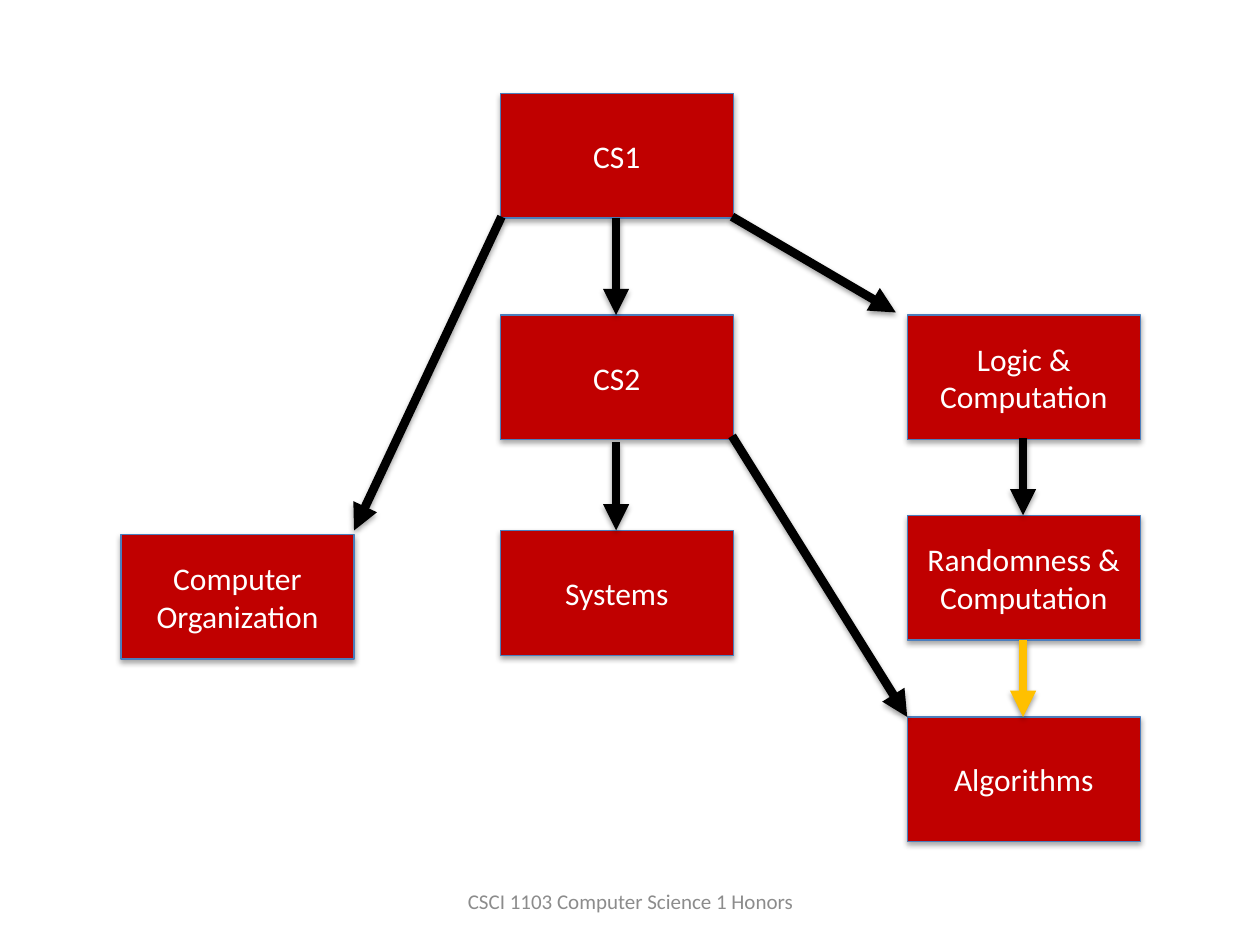
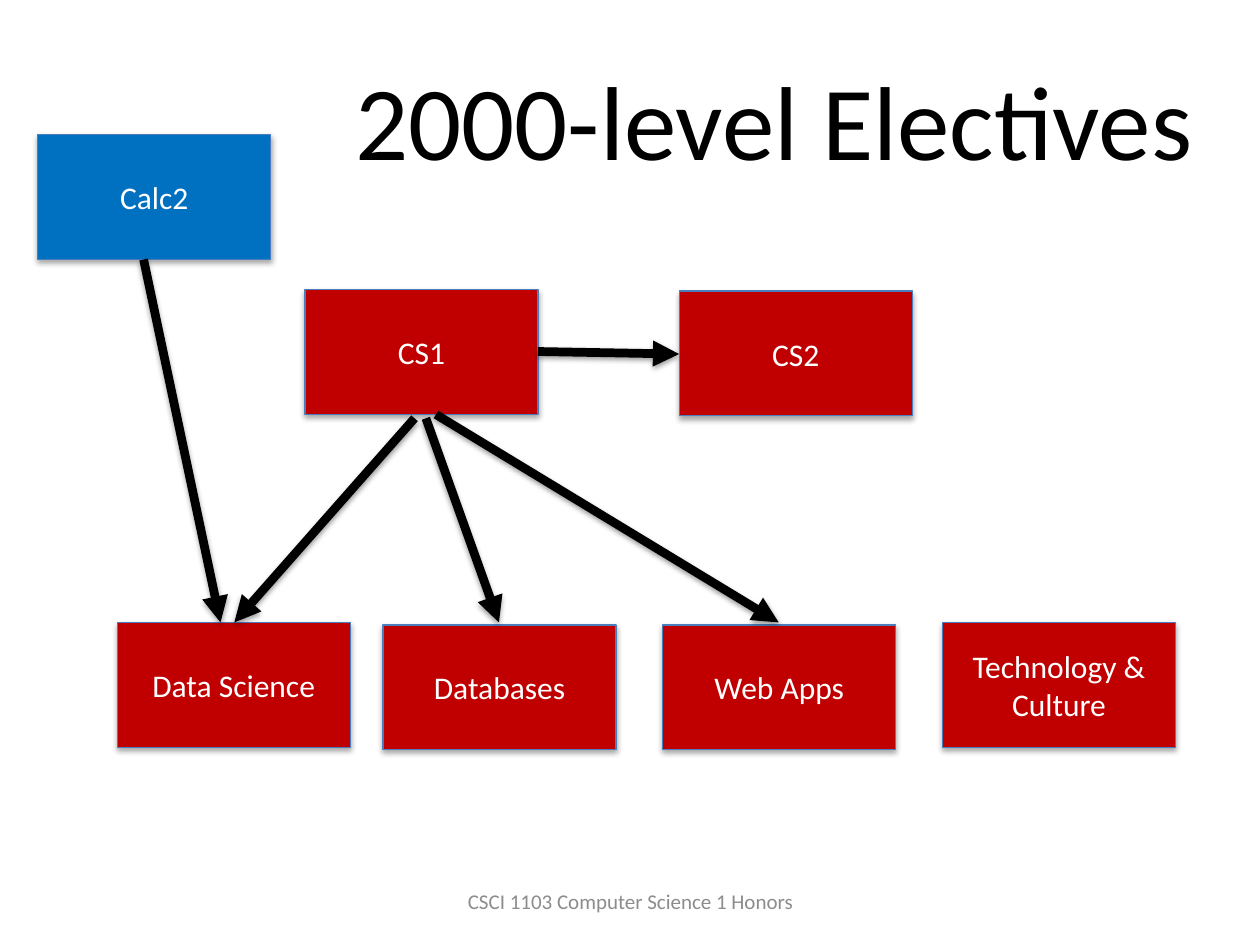
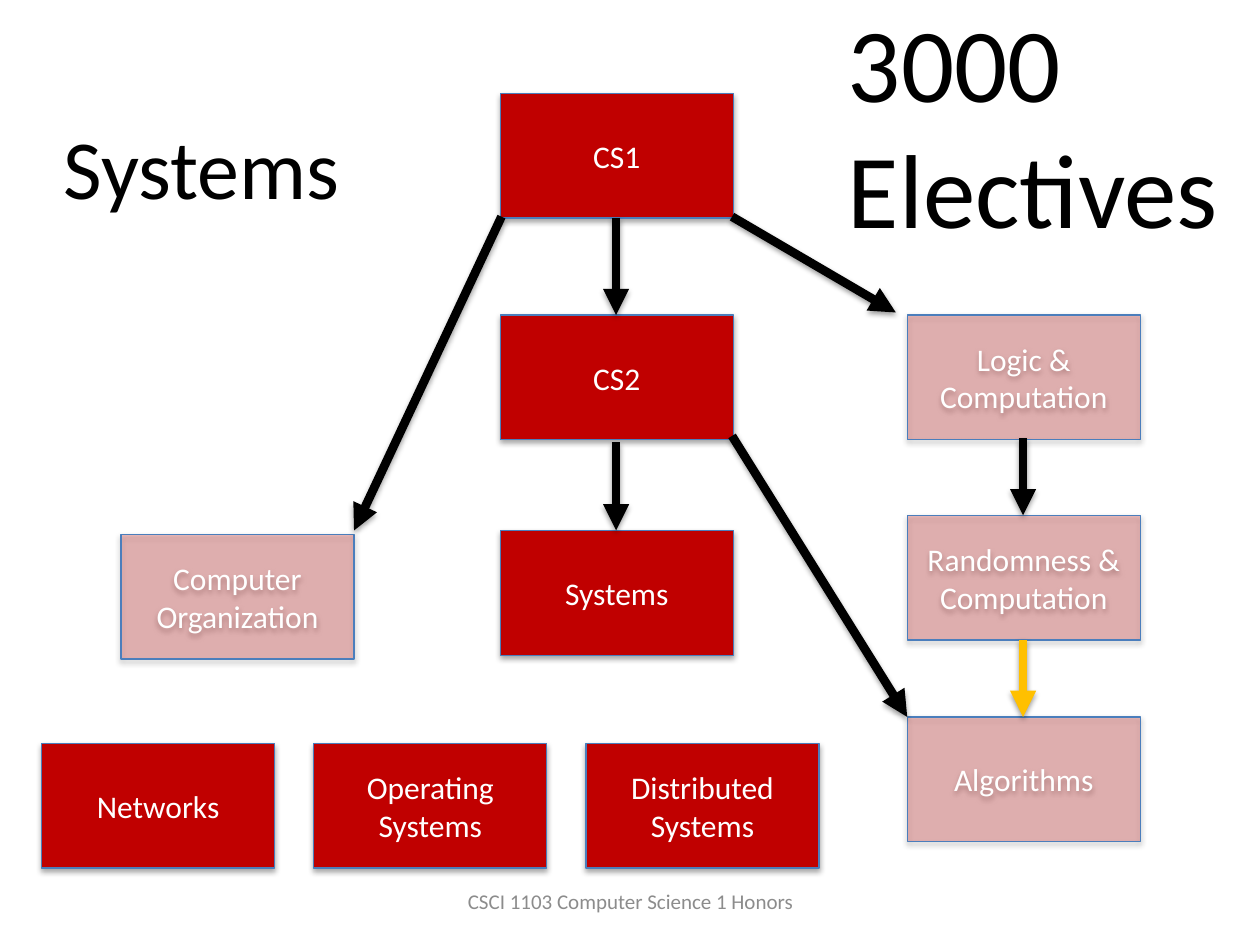
"""Build three slides of computer science course prerequisite charts."""
from pptx import Presentation
from pptx.dml.color import RGBColor
from pptx.enum.shapes import MSO_CONNECTOR, MSO_SHAPE
from pptx.enum.text import MSO_ANCHOR, MSO_AUTO_SIZE, PP_ALIGN
from pptx.oxml import parse_xml
from pptx.oxml.ns import nsdecls, qn
from pptx.util import Pt

RECTANGLE = MSO_SHAPE.RECTANGLE
STRAIGHT = MSO_CONNECTOR.STRAIGHT
TOP, MIDDLE = MSO_ANCHOR.TOP, MSO_ANCHOR.MIDDLE
LEFT, CENTER = PP_ALIGN.LEFT, PP_ALIGN.CENTER
FIXED = MSO_AUTO_SIZE.NONE

RED = RGBColor(0xC0, 0x00, 0x00)
BLUE = RGBColor(0x00, 0x70, 0xC0)
OUTLINE = RGBColor(0x4B, 0x7E, 0xBC)
GOLD = RGBColor(0xFF, 0xC0, 0x00)
BLACK = RGBColor(0x00, 0x00, 0x00)
WHITE = RGBColor(0xFF, 0xFF, 0xFF)
GRAY = RGBColor(0x8C, 0x8C, 0x8C)

FONT = "Calibri"
FOOTER = "CSCI 1103 Computer Science 1 Honors"
BOX_WIDTH, BOX_HEIGHT = 133.2, 71.28
TITLE_ONLY, BLANK = 5, 6


def write_text(frame, text, size=18, color=BLACK, align=LEFT, anchor=TOP, wrap=True):
    """Fill a text frame, one paragraph per line of text."""
    frame.auto_size = FIXED
    frame.word_wrap = wrap
    frame.vertical_anchor = anchor
    frame.text = text
    for para in frame.paragraphs:
        para.alignment = align
        for span in para.runs:
            span.font.name = FONT
            span.font.size = Pt(size)
            span.font.color.rgb = color


def add_shadow(shape, distance, opacity):
    """Give a shape or connector a soft shadow that falls straight down."""
    shape.element.spPr.append(parse_xml(
        f'<a:effectLst {nsdecls("a")}>'
        f'<a:outerShdw blurRad="{Pt(3.15)}" dist="{Pt(distance)}" dir="5400000" rotWithShape="0">'
        f'<a:srgbClr val="000000"><a:alpha val="{opacity * 1000}"/></a:srgbClr>'
        '</a:outerShdw></a:effectLst>'))


CORE_COURSES = [
    ("CS1", 285.84, 53.28),
    ("CS2", 285.84, 180),
    ("Systems", 285.84, 303.12),
    ("Computer Organization", 69.12, 305.28),
    ("Logic &\nComputation", 518.4, 180),
    ("Randomness &\nComputation", 518.4, 294.48),
    ("Algorithms", 518.4, 409.68),
]
CORE_ARROWS = [
    (352.08, 124.56, 352.08, 180, BLACK),
    (584.64, 250.56, 584.64, 294.48, BLACK),
    (418.32, 249.12, 518.4, 409.68, BLACK),
    (418.32, 123.84, 511.92, 178.56, BLACK),
    (286.56, 123.84, 202.32, 303.12, BLACK),
    (352.08, 252.72, 352.08, 303.12, BLACK),
    (584.64, 365.76, 584.64, 409.68, GOLD),
]
LEVEL_2000_COURSES = [
    ("CS1", 174.24, 165.6),
    ("CS2", 388.08, 166.32),
    ("Databases", 218.88, 357.12),
    ("Web Apps", 378.72, 357.12),
    ("Data Science", 66.96, 355.68),
    ("Technology &\nCulture", 538.56, 355.68),
    ("Calc2", 21.6, 77.04),
]
LEVEL_2000_ARROWS = [
    (307.44, 200.88, 388.08, 202.32, BLACK),
    (243.36, 239.04, 285.12, 355.68, BLACK),
    (236.88, 239.04, 133.92, 355.68, BLACK),
    (82.08, 148.32, 126, 355.68, BLACK),
    (249.12, 236.88, 444.96, 355.68, BLACK),
]
SYSTEMS_ELECTIVES = [
    (name, 23.76 + 155.52 * column, 424.8)
    for column, name in enumerate(["Networks", "Operating Systems", "Distributed Systems"])
]
FADED_COURSES = {name for name, *_ in CORE_COURSES[3:]}

PAGES = [
    (None, None, True, CORE_COURSES, CORE_ARROWS, set()),
    ("2000-level Electives", (195.84, 28.08, 498.24, 79.92), False,
     LEVEL_2000_COURSES, LEVEL_2000_ARROWS, set()),
    ("3000 Electives", (477.36, -5.04, 237.6, 152.64), True,
     CORE_COURSES + SYSTEMS_ELECTIVES, CORE_ARROWS, FADED_COURSES),
]

deck = Presentation()
deck.slide_width, deck.slide_height = Pt(720), Pt(540)

for title, title_area, title_wraps, courses, arrows, faded in PAGES:
    page = deck.slides.add_slide(deck.slide_layouts[TITLE_ONLY if title else BLANK])
    if title:
        heading = page.shapes.title
        heading.left, heading.top, heading.width, heading.height = map(Pt, title_area)
        write_text(heading.text_frame, title, size=60, wrap=title_wraps)

    footer = page.shapes.add_textbox(Pt(246.24), Pt(500.4), Pt(228.24), Pt(28.8))
    write_text(footer.text_frame, FOOTER, size=12, color=GRAY, align=CENTER, anchor=MIDDLE)

    for name, left, top in courses:
        box = page.shapes.add_shape(RECTANGLE, Pt(left), Pt(top), Pt(BOX_WIDTH), Pt(BOX_HEIGHT))
        box.fill.solid()
        box.fill.fore_color.rgb = BLUE if name == "Calc2" else RED
        if name in faded:
            fill_color = box.element.spPr.find(qn("a:solidFill"))[0]
            fill_color.append(parse_xml(f'<a:alpha {nsdecls("a")} val="25000"/>'))
        box.line.color.rgb = OUTLINE
        box.line.width = Pt(0.75)
        add_shadow(box, distance=1.81, opacity=35)
        write_text(box.text_frame, name, color=WHITE, align=CENTER, anchor=MIDDLE)

    for start_x, start_y, end_x, end_y, color in arrows:
        arrow = page.shapes.add_connector(STRAIGHT, Pt(start_x), Pt(start_y), Pt(end_x), Pt(end_y))
        arrow.line.color.rgb = color
        arrow.line.width = Pt(5)
        outline = arrow.element.spPr.find(qn("a:ln"))
        outline.append(parse_xml(f'<a:tailEnd {nsdecls("a")} type="triangle"/>'))
        add_shadow(arrow, distance=1.57, opacity=38)

track_label = page.shapes.add_textbox(Pt(29.52), Pt(62.64), Pt(189.36), Pt(65.52))
write_text(track_label.text_frame, "Systems", size=48)

deck.save("out.pptx")
